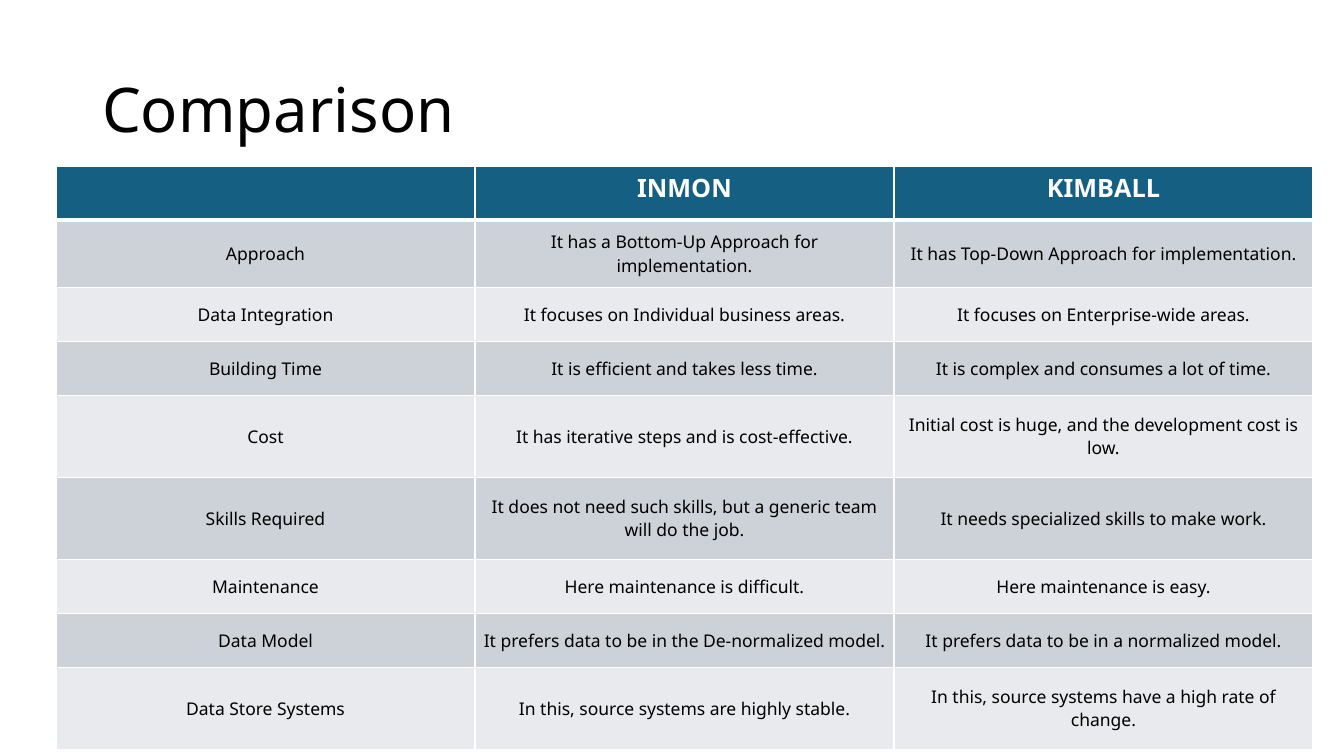
from lxml.etree import SubElement
from pptx import Presentation
from pptx.dml.color import RGBColor
from pptx.enum.text import MSO_ANCHOR as Anchor, PP_ALIGN as Align
from pptx.oxml.ns import qn
from pptx.util import Pt

# Content
TITLE = "Comparison"
HEADER = ("", "INMON", "KIMBALL")
ROWS = [
    ("Approach", "It has a Bottom-Up Approach for implementation.",
     "It has Top-Down Approach for implementation."),
    ("Data Integration", "It focuses on Individual business areas.",
     "It focuses on Enterprise-wide areas."),
    ("Building Time", "It is efficient and takes less time.",
     "It is complex and consumes a lot of time."),
    ("Cost", "It has iterative steps and is cost-effective.",
     "Initial cost is huge, and the development cost is low."),
    ("Skills Required", "It does not need such skills, but a generic team will do the job.",
     "It needs specialized skills to make work."),
    ("Maintenance", "Here maintenance is difficult.", "Here maintenance is easy."),
    ("Data Model", "It prefers data to be in the De-normalized model.",
     "It prefers data to be in a normalized model."),
    ("Data Store Systems", "In this, source systems are highly stable.",
     "In this, source systems have a high rate of change."),
]
TALL_ROWS = {"Cost", "Skills Required", "Data Store Systems"}

# Style
FONT = "Noto Sans"
BLACK = RGBColor(0x00, 0x00, 0x00)
WHITE = RGBColor(0xFF, 0xFF, 0xFF)
TEAL = RGBColor(0x15, 0x60, 0x82)
BANDS = (RGBColor(0xCC, 0xD2, 0xD8), RGBColor(0xE8, 0xEA, 0xED))

# Layout in px
SLIDE_WIDTH, SLIDE_HEIGHT = 1344, 756
TITLE_BOX = (92, 40, 1159, 146)
TABLE_LEFT, TABLE_TOP, COLUMN_WIDTH = 56, 166, 419
ROW_HEIGHT, TALL_HEIGHT = 54, 82
INSET_X, INSET_Y = 7, 10


def px(length):
    return round(length * 914400 / 100.8)


def style_runs(paragraph, size, color, bold=False):
    for run in paragraph.runs:
        run.font.name = FONT
        run.font.size = Pt(size)
        run.font.bold = bold
        run.font.color.rgb = color


def add_borders(cell, top, bottom):
    properties = cell._tc.get_or_add_tcPr()
    sides = (("L", 1), ("R", 1), ("T", top), ("B", bottom))
    for index, (side, points) in enumerate(sides):
        line = SubElement(properties, qn(f"a:ln{side}"), w=str(Pt(points)))
        fill = SubElement(line, qn("a:solidFill"))
        SubElement(fill, qn("a:srgbClr"), val=str(WHITE))
        properties.insert(index, line)


def format_cell(cell, text, row):
    is_header = row == 0
    cell.text_frame.text = text
    paragraph = cell.text_frame.paragraphs[0]
    paragraph.alignment = Align.CENTER
    cell.fill.solid()
    if is_header:
        cell.fill.fore_color.rgb = TEAL
        style_runs(paragraph, 18, WHITE, bold=True)
    else:
        cell.fill.fore_color.rgb = BANDS[(row - 1) % 2]
        cell.vertical_anchor = Anchor.MIDDLE
        cell.margin_left = cell.margin_right = px(INSET_X)
        cell.margin_top = cell.margin_bottom = px(INSET_Y)
        style_runs(paragraph, 12.5, BLACK)
    add_borders(cell, top=3 if row == 1 else 1, bottom=3 if is_header else 1)


presentation = Presentation()
presentation.slide_width, presentation.slide_height = px(SLIDE_WIDTH), px(SLIDE_HEIGHT)
slide = presentation.slides.add_slide(presentation.slide_layouts[5])

# Title
title = slide.shapes.title
title.left, title.top, title.width, title.height = map(px, TITLE_BOX)
title.text_frame.text = TITLE
title.text_frame.vertical_anchor = Anchor.MIDDLE
heading = title.text_frame.paragraphs[0]
heading.alignment = Align.LEFT
heading.line_spacing = 0.9
style_runs(heading, 44, BLACK)

# Comparison table
table_rows = [HEADER] + ROWS
heights = [TALL_HEIGHT if row[0] in TALL_ROWS else ROW_HEIGHT for row in table_rows]
table = slide.shapes.add_table(
    len(table_rows), len(HEADER), px(TABLE_LEFT), px(TABLE_TOP),
    px(COLUMN_WIDTH * len(HEADER)), px(sum(heights))).table
for column in table.columns:
    column.width = px(COLUMN_WIDTH)
for row, (texts, height) in enumerate(zip(table_rows, heights)):
    table.rows[row].height = px(height)
    for column, text in enumerate(texts):
        format_cell(table.cell(row, column), text, row)

presentation.save("out.pptx")
